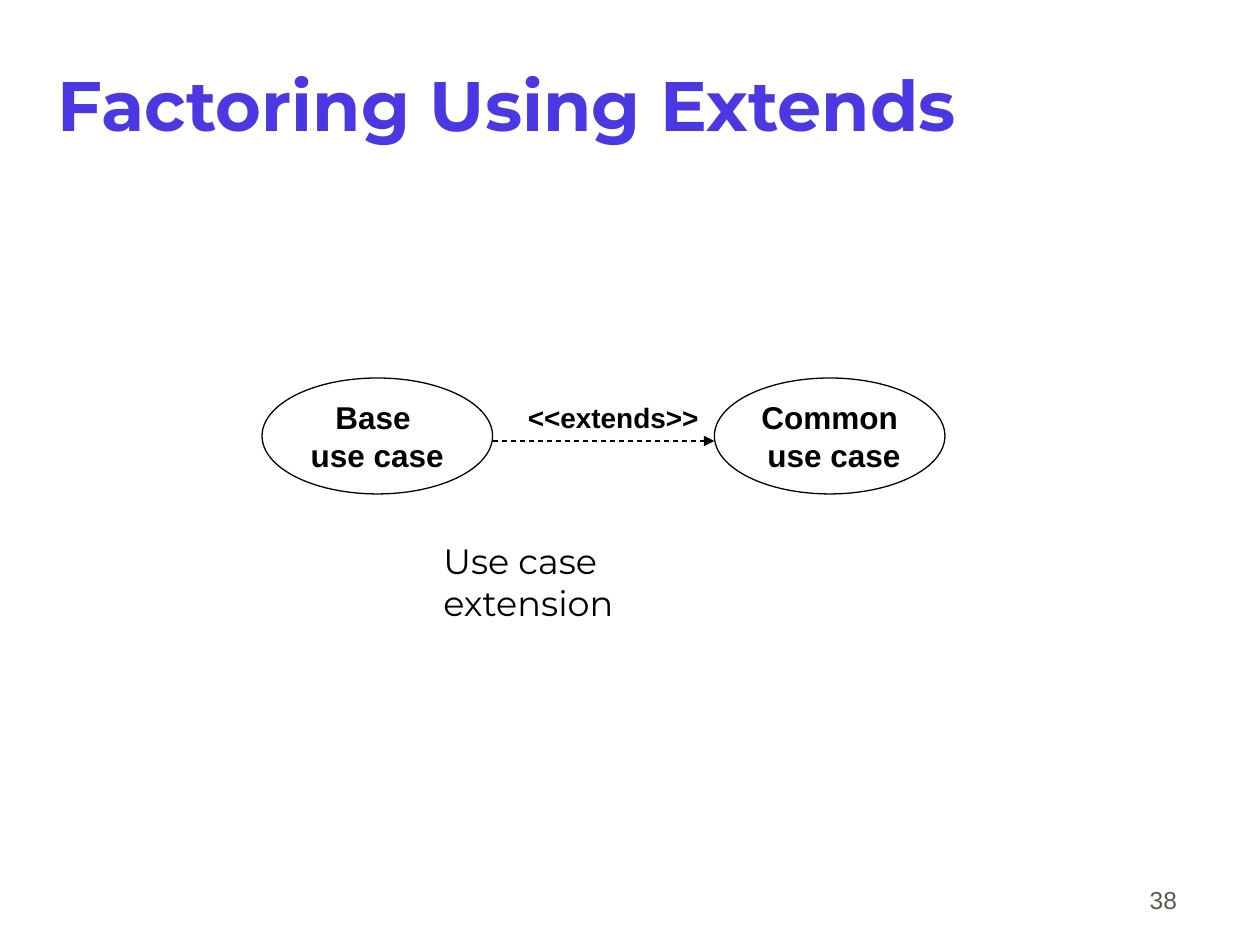
"""Build a slide showing a base use case extended by a common use case."""
import dataclasses

import pptx
import pptx.dml.color
import pptx.enum.dml
import pptx.enum.shapes
import pptx.enum.text
import pptx.oxml.ns
import pptx.util
from lxml import etree

Inches = pptx.util.Inches
Align = pptx.enum.text.PP_ALIGN
Anchor = pptx.enum.text.MSO_ANCHOR


@dataclasses.dataclass(frozen=True)
class Theme:
    heading: str = "Montserrat"
    body: str = "Arial"
    accent: str = "4C38E2"
    ink: str = "000000"
    muted: str = "5E574E"
    title: int = 40
    caption: int = 20
    node: int = 18
    label: int = 16
    number: int = 14
    line: float = 0.75


THEME = Theme()
WIDTH, HEIGHT = 10, 7.5
TITLE = "Factoring Using Extends"
USE_CASES = [["Base ", "use case"], ["Common", " use case"]]
RELATION = "<<extends>>"
CAPTION = "Use case extension"
PAGE_NUMBER = "38"

NODE_LEFT, NODE_TOP = 0.208 * WIDTH, 0.4 * HEIGHT
NODE_WIDTH, NODE_HEIGHT, NODE_STEP = 1.83, 0.92, 3.59
ARROW_TOP = NODE_TOP + 0.5


def write(shape, lines, font, size, color, bold=False, align=Align.LEFT,
          anchor=Anchor.TOP, wrap=False, side=0.1):
    frame = shape.text_frame
    frame.auto_size = pptx.enum.text.MSO_AUTO_SIZE.NONE
    frame.word_wrap = wrap
    frame.vertical_anchor = anchor
    frame.margin_left = frame.margin_right = Inches(side)
    frame.margin_top = frame.margin_bottom = Inches(0.05)
    frame.text = "\n".join(lines)
    for para in frame.paragraphs:
        para.alignment = align
        para.font.name = font
        para.font.size = pptx.util.Pt(size)
        para.font.bold = bold
        para.font.color.rgb = pptx.dml.color.RGBColor.from_string(color)


def style_line(line):
    line.color.rgb = pptx.dml.color.RGBColor.from_string(THEME.ink)
    line.width = pptx.util.Pt(THEME.line)


def add_text(page, place, *args, **options):
    box = page.shapes.add_textbox(*map(Inches, place))
    write(box, *args, **options)


def add_title(page):
    title = page.shapes.title
    title.left, title.top, title.width, title.height = map(
        Inches, (0.44, 0.2, 0.85 * WIDTH, 1.25))
    write(title, [TITLE], THEME.heading, THEME.title, THEME.accent, bold=True,
          anchor=Anchor.MIDDLE, wrap=True, side=0.02)


def add_use_case(page, column, lines):
    place = (NODE_LEFT + column * NODE_STEP, NODE_TOP, NODE_WIDTH, NODE_HEIGHT)
    node = page.shapes.add_shape(
        pptx.enum.shapes.MSO_SHAPE.OVAL, *map(Inches, place))
    node.shadow.inherit = False
    node.fill.background()
    style_line(node.line)
    write(node, lines, THEME.body, THEME.node, THEME.ink, bold=True,
          align=Align.CENTER, anchor=Anchor.MIDDLE)


def add_arrow(page):
    ends = (NODE_LEFT + NODE_WIDTH, ARROW_TOP, NODE_LEFT + NODE_STEP, ARROW_TOP)
    arrow = page.shapes.add_connector(
        pptx.enum.shapes.MSO_CONNECTOR.STRAIGHT, *map(Inches, ends))
    style_line(arrow.line)
    arrow.line.dash_style = pptx.enum.dml.MSO_LINE.DASH
    qn = pptx.oxml.ns.qn
    etree.SubElement(arrow.line._get_or_add_ln(), qn("a:tailEnd"), type="triangle")
    etree.SubElement(arrow._element.spPr, qn("a:effectLst"))


def main():
    deck = pptx.Presentation()
    deck.slide_width, deck.slide_height = Inches(WIDTH), Inches(HEIGHT)
    page = deck.slides.add_slide(deck.slide_layouts.get_by_name("Title Only"))
    add_title(page)
    for column, lines in enumerate(USE_CASES):
        add_use_case(page, column, lines)
    add_arrow(page)
    add_text(page, (4.09, ARROW_TOP - 0.37, 1.55, 0.37), [RELATION],
             THEME.body, THEME.label, THEME.ink, bold=True)
    add_text(page, (3.42, 4.23, 2.7, 0.44), [CAPTION],
             THEME.heading, THEME.caption, THEME.ink, wrap=True)
    add_text(page, (7.36, 6.81, 2.08, 0.5), [PAGE_NUMBER],
             THEME.body, THEME.number, THEME.muted,
             align=Align.RIGHT, anchor=Anchor.BOTTOM, wrap=True)
    deck.save("out.pptx")


if __name__ == "__main__":
    main()
